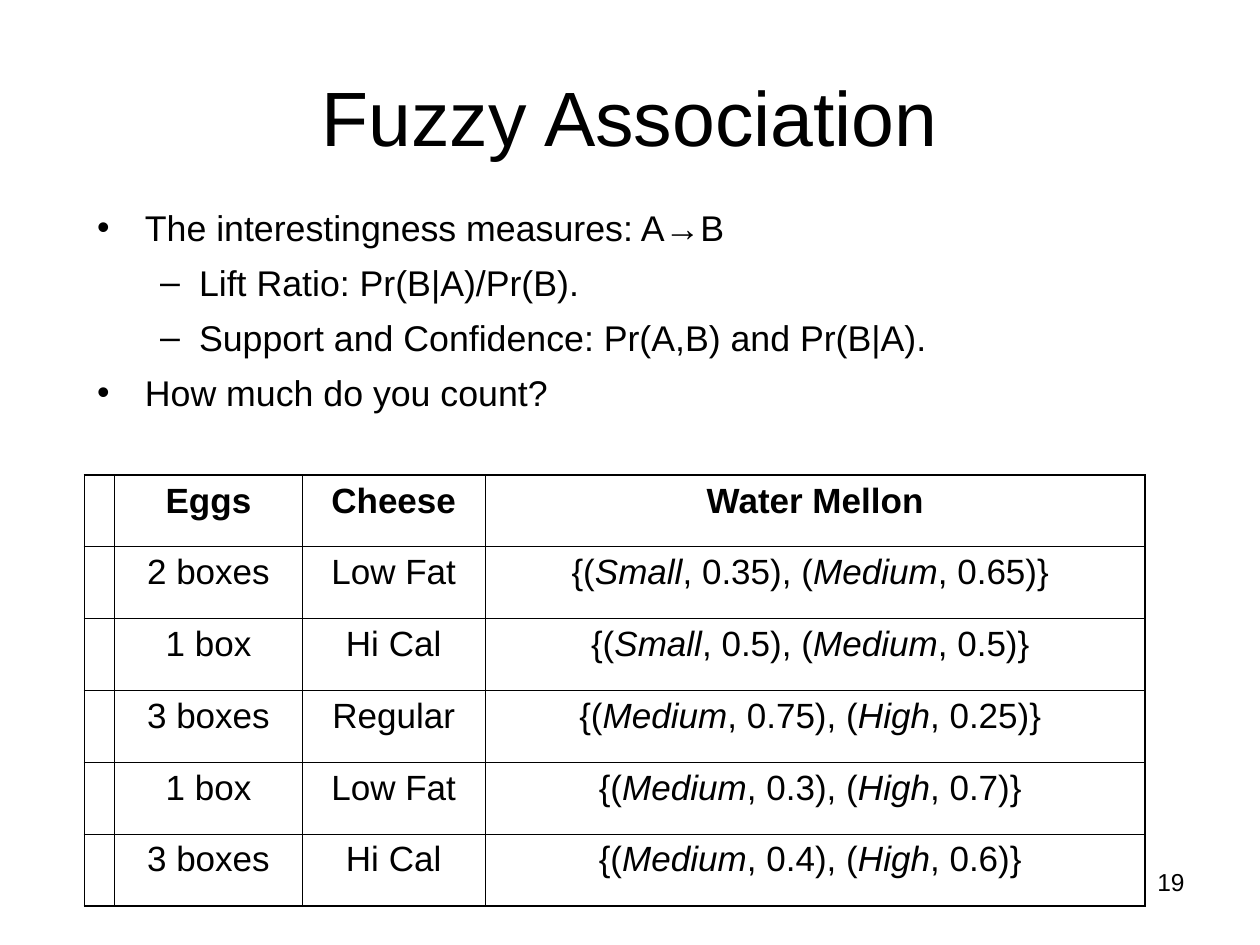
import dataclasses
import typing

import lxml.etree
import pptx
import pptx.dml.color
import pptx.enum.text
import pptx.oxml.ns
import pptx.util

Inches = pptx.util.Inches
Pt = pptx.util.Pt
Align = pptx.enum.text.PP_ALIGN


@dataclasses.dataclass(frozen=True)
class Theme:
    font: str = "Arial"
    ink: str = "000000"
    title: float = 44
    body: float = 20.4
    cell: float = 20
    page: float = 14
    thin: float = 0.45
    thick: float = 1.08


@dataclasses.dataclass(frozen=True)
class Point:
    text: str
    level: int = 0


class Term(typing.NamedTuple):
    name: str
    grade: str


class Sale(typing.NamedTuple):
    eggs: str
    cheese: str
    low: Term
    high: Term


class Part(typing.NamedTuple):
    text: str
    slant: bool = False


THEME = Theme()
INDENTS = [(0.38, -0.38), (0.81, -0.31)]
POINTS = [
    Point("The interestingness measures: A→B"),
    Point("Lift Ratio: Pr(B|A)/Pr(B).", 1),
    Point("Support and Confidence: Pr(A,B) and Pr(B|A).", 1),
    Point("How much do you count?"),
]
HEADS = ["", "Eggs", "Cheese", "Water Mellon"]
WIDTHS = [0.24, 1.49, 1.45, 5.24]
ROW = 0.57
SALES = [
    Sale("2 boxes", "Low Fat", Term("Small", "0.35"), Term("Medium", "0.65")),
    Sale("1 box", "Hi Cal", Term("Small", "0.5"), Term("Medium", "0.5")),
    Sale("3 boxes", "Regular", Term("Medium", "0.75"), Term("High", "0.25")),
    Sale("1 box", "Low Fat", Term("Medium", "0.3"), Term("High", "0.7")),
    Sale("3 boxes", "Hi Cal", Term("Medium", "0.4"), Term("High", "0.6")),
]


def style(run, size: float, bold: bool = False, slant: bool = False) -> None:
    font = run.font
    font.name, font.size = THEME.font, Pt(size)
    font.bold, font.italic = bold, slant
    font.color.rgb = pptx.dml.color.RGBColor.from_string(THEME.ink)


def place(shape, left: float, top: float, width: float, height: float) -> None:
    shape.left, shape.top = Inches(left), Inches(top)
    shape.width, shape.height = Inches(width), Inches(height)


def draw_line(frame, text: str, size: float, align) -> None:
    """Fill a text frame with one styled line."""
    frame.text = text
    frame.paragraphs[0].alignment = align
    style(frame.paragraphs[0].runs[0], size)


def draw_points(shape, points: list[Point]) -> None:
    frame = shape.text_frame
    frame.auto_size = pptx.enum.text.MSO_AUTO_SIZE.NONE
    frame.text = "\n".join(point.text for point in points)
    for index, (para, point) in enumerate(zip(frame.paragraphs, points)):
        para.level = point.level
        margin, indent = INDENTS[point.level]
        props = para._p.get_or_add_pPr()
        props.set("marL", str(Inches(margin)))
        props.set("indent", str(Inches(indent)))
        para.space_before = Pt(7 if index else 0)
        style(para.runs[0], THEME.body)


def fuzzy(sale: Sale) -> list[Part]:
    """Spell out a fuzzy set, with its term names in italics."""
    low, high = sale.low, sale.high
    return [Part("{("), Part(low.name, True), Part(f", {low.grade}), ("),
            Part(high.name, True), Part(f", {high.grade})}} ")]


def border(cell, sides: dict[str, float]) -> None:
    props = cell._tc.get_or_add_tcPr()
    for side, width in sides.items():
        line = lxml.etree.SubElement(props, pptx.oxml.ns.qn(f"a:ln{side}"),
                                     w=str(Pt(width)))
        fill = lxml.etree.SubElement(line, pptx.oxml.ns.qn("a:solidFill"))
        lxml.etree.SubElement(fill, pptx.oxml.ns.qn("a:srgbClr"), val=THEME.ink)


def draw_cell(cell, parts: list[Part], bold: bool) -> None:
    para = cell.text_frame.paragraphs[0]
    para.alignment = Align.CENTER
    for part in parts:
        run = para.add_run()
        run.text = part.text
        style(run, THEME.cell, bold, part.slant)


def draw_table(slide, left: float, top: float) -> None:
    rows = [[[Part(head)] if head else [] for head in HEADS]]
    rows += [[[], [Part(sale.eggs)], [Part(sale.cheese)], fuzzy(sale)]
             for sale in SALES]
    table = slide.shapes.add_table(
        len(rows), len(WIDTHS), Inches(left), Inches(top),
        Inches(sum(WIDTHS)), Inches(ROW * len(rows))).table
    table.horz_banding = False
    table.first_row = False
    for column, width in zip(table.columns, WIDTHS):
        column.width = Inches(width)
    for r, row in enumerate(rows):
        for c, parts in enumerate(row):
            cell = table.cell(r, c)
            draw_cell(cell, parts, bold=r == 0)
            # The outer frame is heavier than the inner rules
            outer = {"L": c == 0, "R": c == len(row) - 1,
                     "T": r == 0, "B": r == len(rows) - 1}
            border(cell, {side: THEME.thick if edge else THEME.thin
                          for side, edge in outer.items()})
            cell.fill.background()


def main() -> None:
    deck = pptx.Presentation()
    deck.slide_width, deck.slide_height = Inches(10), Inches(7.5)
    slide = deck.slides.add_slide(deck.slide_layouts[1])

    # Title and list
    title, body = slide.shapes.title, slide.placeholders[1]
    place(title, 0.5, 0.17, 9, 1.5)
    draw_line(title.text_frame, "Fuzzy Association", THEME.title, Align.CENTER)
    place(body, 0.67, 1.58, 9, 1.68)
    draw_points(body, POINTS)

    # Sales table
    draw_table(slide, 0.67, 3.77)

    # Page number
    page = slide.shapes.add_textbox(
        Inches(7.17), Inches(6.83), Inches(2.33), Inches(0.52))
    page.text_frame.word_wrap = True
    draw_line(page.text_frame, "19", THEME.page, Align.RIGHT)

    deck.save("out.pptx")


if __name__ == "__main__":
    main()
